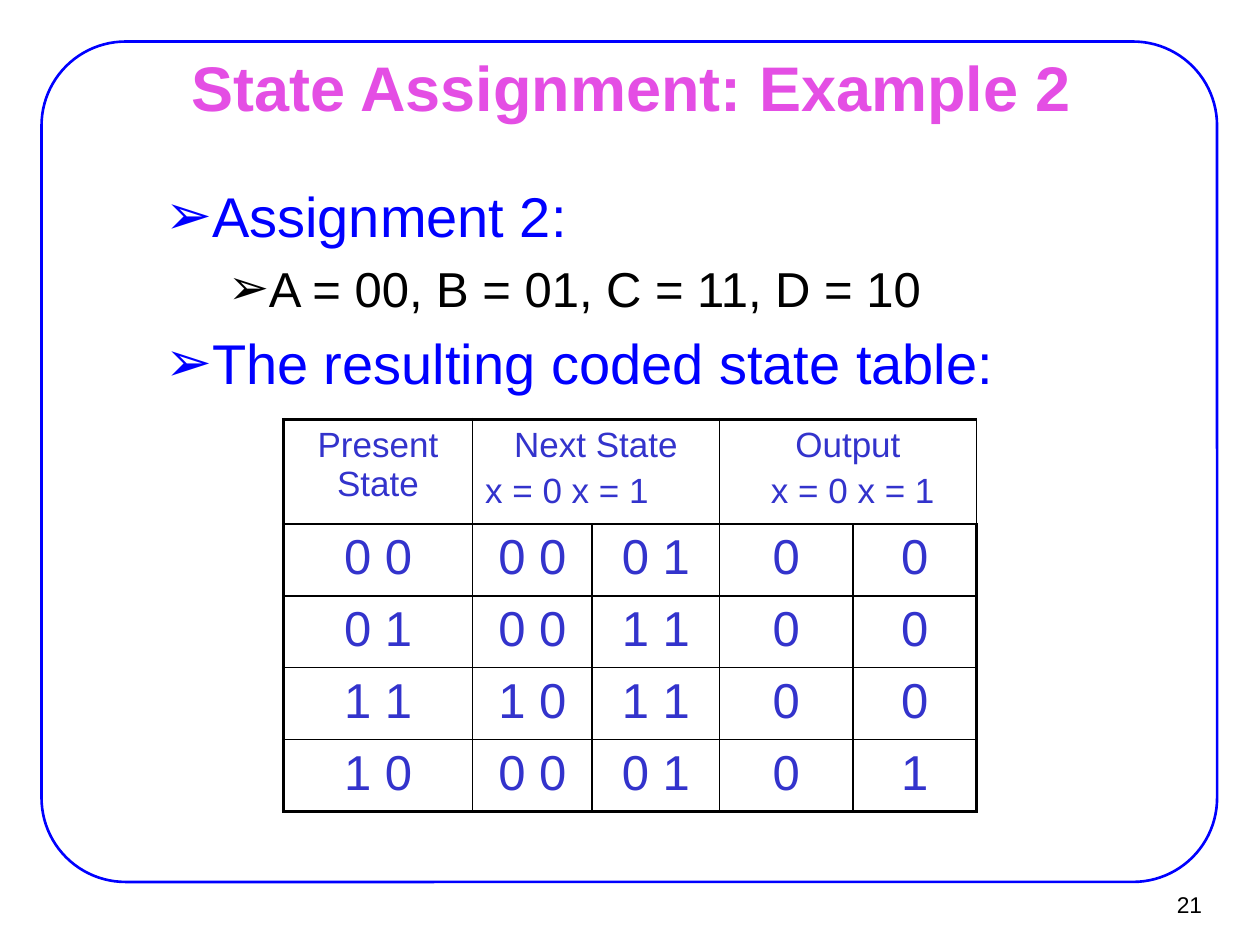
from lxml.etree import SubElement
from pptx import Presentation
from pptx.dml.color import RGBColor
from pptx.enum.shapes import MSO_SHAPE as Shape
from pptx.enum.text import MSO_ANCHOR as Anchor, MSO_AUTO_SIZE as AutoSize, PP_ALIGN as Align
from pptx.oxml.ns import qn
from pptx.util import Inches, Pt

COLUMNS, ROWS = 100, 75
BLACK, BLUE, INDIGO, PINK, WHITE = "000000", "0000FF", "3333CC", "E44EE4", "FFFFFF"
BULLETS = [
    ("Assignment 2:", 0, 32, BLUE),
    ("A = 00, B = 01, C = 11, D = 10", 1, 28, BLACK),
    ("The resulting coded state table:", 0, 32, BLUE),
]
INDENTS = [(0.81, -0.31), (1.25, -0.25)]
HEADERS = {
    0: [("Present State", Align.CENTER)],
    1: [("Next State", Align.CENTER), ("x = 0 x = 1", Align.LEFT)],
    3: [("Output", Align.CENTER), (" x = 0 x = 1", Align.CENTER)],
}
STATES = [
    ["0 0", "0 0", "0 1", "0", "0"],
    ["0 1", "0 0", "1 1", "0", "0"],
    ["1 1", "1 0", "1 1", "0", "0"],
    ["1 0", "0 0", "0 1", "0", "1"],
]
COLUMN_WIDTHS = [15, 9.5, 10.1, 10.6, 9.8]
ROW_HEIGHTS = [8.3] + [5.7] * len(STATES)


def color(value):
    """Return the colour of a hex string."""
    return RGBColor.from_string(value)


def assign(target, values):
    """Set attributes of an object from a dict."""
    for name, value in values.items():
        setattr(target, name, value)


class SlideBuilder:
    """Hold the text style and the current slide."""

    font = "Arial"

    def __init__(self, presentation):
        """Start a slide with a title and a body."""
        self.column = presentation.slide_width / COLUMNS
        self.row = presentation.slide_height / ROWS
        self.slide = presentation.slides.add_slide(presentation.slide_layouts[1])

    def box(self, left, top, width, height):
        """Turn grid units into slide lengths."""
        return [round(value * unit) for value, unit in
                zip((left, top, width, height), (self.column, self.row) * 2)]

    def place(self, shape, area, anchor, margins):
        """Move a text shape and format its frame."""
        assign(shape, dict(zip(("left", "top", "width", "height"), self.box(*area))))
        side, edge = map(Inches, margins)
        assign(shape.text_frame, dict(
            word_wrap=True, auto_size=AutoSize.NONE, vertical_anchor=anchor,
            margin_left=side, margin_right=side, margin_top=edge, margin_bottom=edge))
        return shape.text_frame

    def add_text(self, paragraph, text, size, fill, align, bold=False, before=0.0):
        """Add one formatted run to a paragraph."""
        assign(paragraph, dict(alignment=align, space_before=Pt(size * before)))
        run = paragraph.add_run()
        run.text = text
        assign(run.font, dict(name=self.font, size=Pt(size), bold=bold))
        run.font.color.rgb = color(fill)

    def paragraphs(self, frame, count):
        """Return the given number of paragraphs of a frame."""
        return [frame.paragraphs[0]] + [frame.add_paragraph() for _ in range(count - 1)]

    def frame(self, area, line_color, width, corner):
        """Draw the rounded outline around the slide."""
        shape = self.slide.shapes.add_shape(Shape.ROUNDED_RECTANGLE, *self.box(*area))
        shape.shadow.inherit = False
        shape.adjustments[0] = corner
        shape.fill.background()
        shape.line.color.rgb = color(line_color)
        shape.line.width = Pt(width)

    def title(self, text, area):
        """Fill the title placeholder."""
        frame = self.place(self.slide.shapes.title, area, Anchor.MIDDLE, (0.11, 0.06))
        self.add_text(frame.paragraphs[0], text, 36, PINK, Align.CENTER, bold=True)

    def bullets(self, items, area):
        """Fill the body placeholder with an arrow list."""
        frame = self.place(self.slide.placeholders[1], area, Anchor.TOP, (0.11, 0.06))
        for paragraph, (text, level, size, fill) in zip(self.paragraphs(frame, len(items)), items):
            paragraph.level = level
            self.add_text(paragraph, text, size, fill, Align.LEFT, before=0.2)
            properties = paragraph._p.get_or_add_pPr()
            for name, length in zip(("marL", "indent"), INDENTS[level]):
                properties.set(name, str(Inches(length)))
            SubElement(properties, qn("a:buChar"), char="➢")

    def number(self, text, area):
        """Add the slide number."""
        frame = self.place(self.slide.shapes.add_textbox(*self.box(*area)),
                           area, Anchor.MIDDLE, (0.09, 0.04))
        self.add_text(frame.paragraphs[0], text, 13, BLACK, Align.RIGHT)

    def cell(self, cell, lines, size, outer):
        """Fill one table cell and draw its borders."""
        for paragraph, (text, align) in zip(self.paragraphs(cell.text_frame, len(lines)), lines):
            self.add_text(paragraph, text, size, INDIGO, align, before=0.2)
        properties = cell._tc.get_or_add_tcPr()
        for side, is_outer in zip("LRTB", outer):
            width = Pt(2.25 if is_outer else 1)
            line = SubElement(properties, qn(f"a:ln{side}"), w=str(width))
            SubElement(SubElement(line, qn("a:solidFill")), qn("a:srgbClr"), val=BLACK)
        cell.fill.solid()
        cell.fill.fore_color.rgb = color(WHITE)

    def table(self, headers, body, left, top):
        """Draw the state table with its paired headings."""
        area = self.box(left, top, sum(COLUMN_WIDTHS), sum(ROW_HEIGHTS))
        last_row, last_column = len(body), len(COLUMN_WIDTHS) - 1
        table = self.slide.shapes.add_table(last_row + 1, last_column + 1, *area).table
        assign(table, dict(first_row=False, horz_banding=False))
        for column, width in zip(table.columns, COLUMN_WIDTHS):
            column.width = round(width * self.column)
        for row, height in zip(table.rows, ROW_HEIGHTS):
            row.height = round(height * self.row)
        for start in (1, 3):
            table.cell(0, start).merge(table.cell(0, start + 1))
        for r in range(last_row + 1):
            for c in range(last_column + 1):
                lines = [(body[r - 1][c], Align.CENTER)] if r else headers.get(c, [])
                outer = (c == 0, c == last_column, r == 0, r == last_row)
                self.cell(table.cell(r, c), lines, 28 if r else 20, outer)


def main():
    """Build and save the slide."""
    presentation = Presentation()
    assign(presentation, dict(slide_width=Inches(10), slide_height=Inches(7.5)))
    builder = SlideBuilder(presentation)
    builder.frame((3.3, 3.3, 93.3, 66.7), BLUE, 1.5, 0.1)
    builder.number("21", (90.2, 69.9, 6.1, 3.7))
    builder.title("State Assignment: Example 2", (7.6, 4.4, 85, 4.9))
    builder.bullets(BULLETS, (7, 13.8, 88, 19.5))
    builder.table(HEADERS, STATES, 22.5, 33.3)
    presentation.save("out.pptx")


if __name__ == "__main__":
    main()
